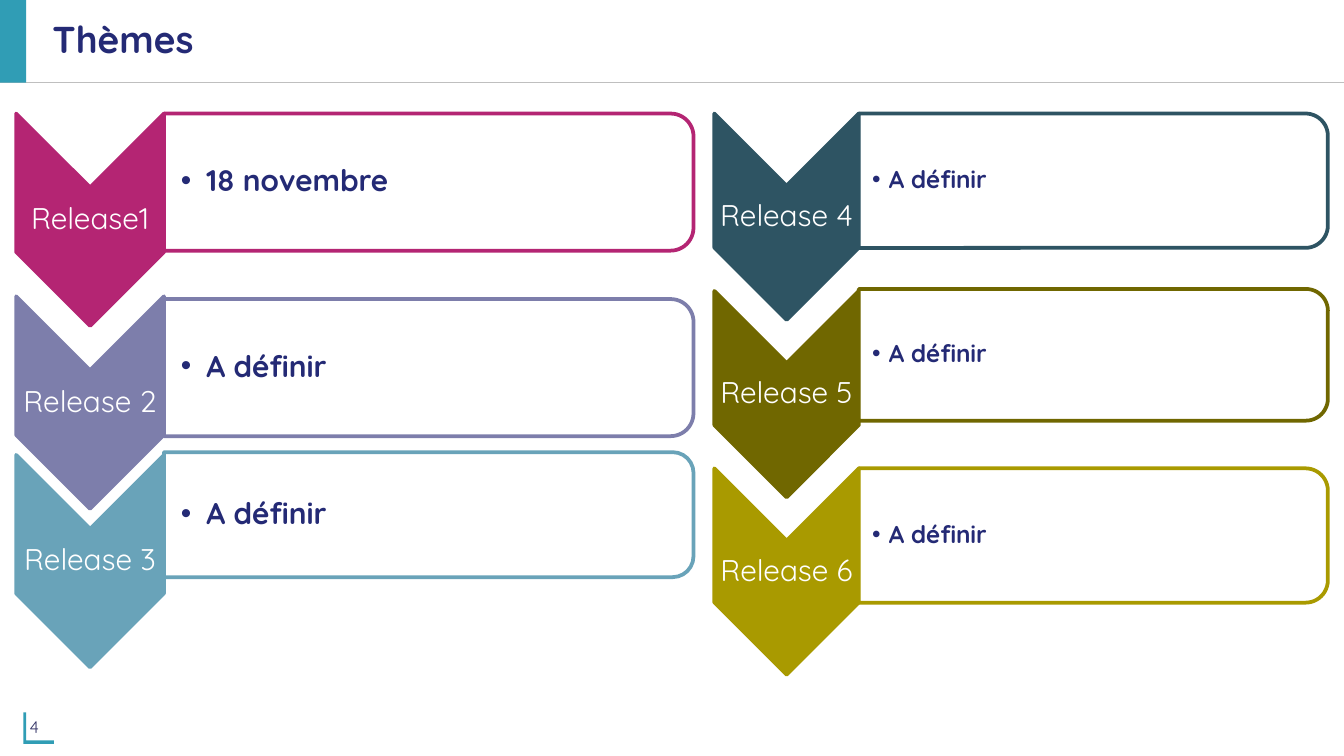
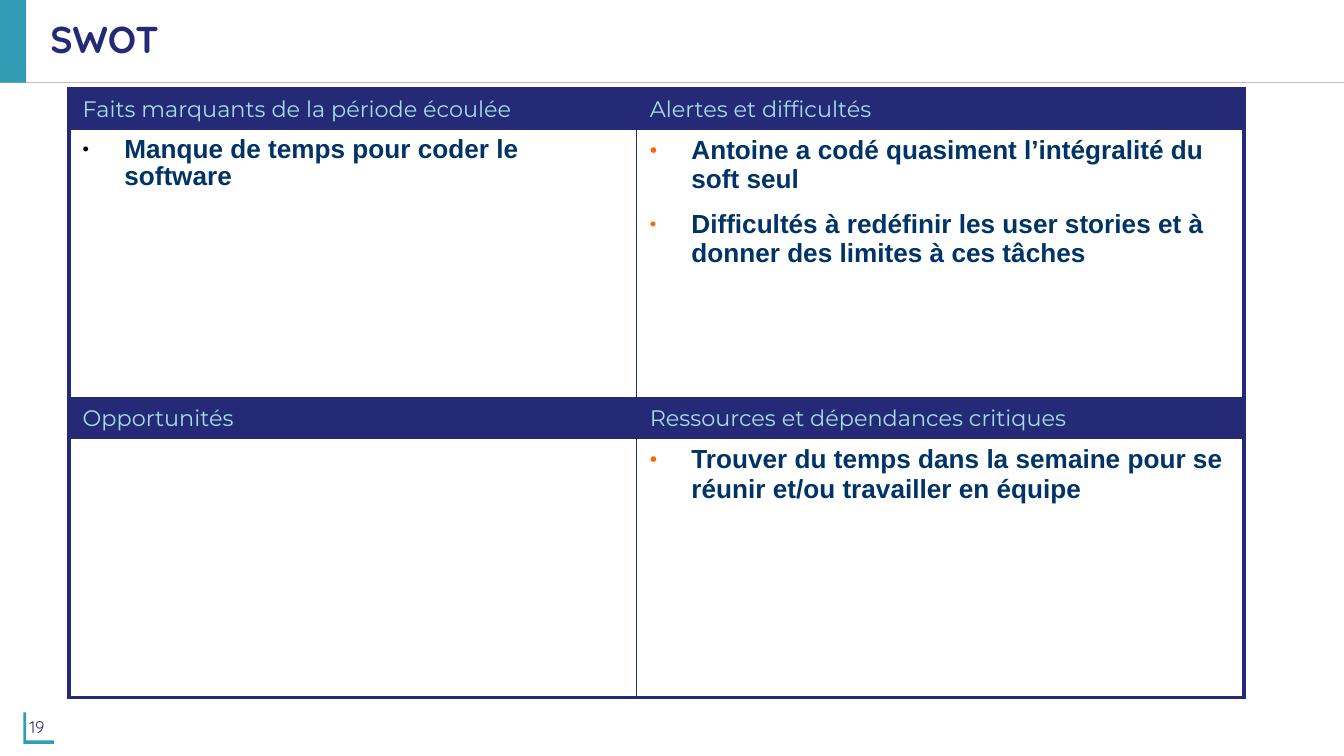
"""Build the release themes slide and the SWOT slide."""
import dataclasses

import pptx
import pptx.dml.color
import pptx.enum.shapes
import pptx.enum.text
import pptx.oxml
import pptx.oxml.ns
import pptx.util
from lxml import etree

qn = pptx.oxml.ns.qn
Pt = pptx.util.Pt
RGB = pptx.dml.color.RGBColor.from_string
SHAPE = pptx.enum.shapes.MSO_SHAPE
MIDDLE = pptx.enum.text.MSO_ANCHOR.MIDDLE
LEFT = pptx.enum.text.PP_ALIGN.LEFT
CENTER = pptx.enum.text.PP_ALIGN.CENTER


@dataclasses.dataclass(frozen=True)
class Theme:
    navy: str = "242A75"
    teal: str = "309DB5"
    rule: str = "BFBFBF"
    white: str = "FFFFFF"
    number: str = "333366"
    header: str = "A6DCE7"
    note: str = "003366"
    orange: str = "FF6600"
    black: str = "000000"
    releases: tuple = (("B42573", "7D7EAB", "69A3B9"), ("2E5463", "706700", "A99A00"))
    display: str = "Quicksand"
    header_face: str = "Montserrat"
    note_face: str = "Arial"
    title_size: int = 20
    label_size: int = 16
    small_size: int = 13
    note_size: int = 14
    header_size: int = 12
    number_size: int = 9


theme = Theme()
presentation = pptx.Presentation()
presentation.slide_width = pptx.util.Inches(10)
presentation.slide_height = presentation.slide_width * 9 // 16
COLUMNS = 100
CELL = presentation.slide_width / COLUMNS
ROWS = presentation.slide_height / CELL


def grid(*units):
    """Turn lengths in grid units into whole EMU."""
    return [pptx.util.Emu(round(unit * CELL)) for unit in units]


def write(frame, lines, **frame_format):
    """Format a text frame and fill it with (text, style) lines."""
    for name, value in frame_format.items():
        setattr(frame, name, value)
    for index, (text, style) in enumerate(lines):
        paragraph = frame.add_paragraph() if index else frame.paragraphs[0]
        run = paragraph.add_run()
        run.text = text
        run.font.color.rgb = RGB(style["color"])
        for name, value in style["font"].items():
            setattr(run.font, name, value)
        for name, value in style.get("paragraph", {}).items():
            setattr(paragraph, name, value)
        if "bullet" in style:
            indent, color, percent = style["bullet"]
            properties = paragraph._p.get_or_add_pPr()
            properties.set("marL", str(grid(indent)[0]))
            properties.set("indent", str(-grid(indent)[0]))
            bullet_color = etree.SubElement(properties, qn("a:buClr"))
            etree.SubElement(bullet_color, qn("a:srgbClr"), val=color)
            etree.SubElement(properties, qn("a:buSzPct"), val=str(percent * 1000))
            etree.SubElement(properties, qn("a:buFont"), typeface="Arial")
            etree.SubElement(properties, qn("a:buChar"), char="•")


title_style = {
    "color": theme.navy,
    "font": {"name": theme.display, "size": Pt(theme.title_size), "bold": True},
    "paragraph": {"alignment": LEFT, "line_spacing": 0.9},
}
number_style = {
    "color": theme.number,
    "font": {"name": theme.display, "size": Pt(theme.number_size)},
}
label_style = {
    "color": theme.white,
    "font": {"name": theme.display, "size": Pt(theme.label_size)},
    "paragraph": {"alignment": CENTER, "line_spacing": 0.9},
}
header_style = {
    "color": theme.header,
    "font": {"name": theme.header_face, "size": Pt(theme.header_size), "bold": False},
}
note_style = {
    "color": theme.note,
    "font": {"name": theme.note_face, "size": Pt(theme.note_size), "bold": True},
    "bullet": (3.1, theme.orange, 80),
}
tight_note_style = {
    **note_style,
    "paragraph": {"line_spacing": 0.95},
    "bullet": (3.1, theme.black, 70),
}
next_note_style = {
    **note_style,
    "paragraph": {"space_before": Pt(8)},
    "bullet": (3.1, theme.orange, 70),
}

BAND = 6.15
MARK = ((1.95, 53), (1.75, 53), (1.75, 55.35), (4, 55.35), (4, 55.1), (1.95, 55.1))
slides = []
for title, title_left, number in (("Thèmes", 2.9, "4"), ("SWOT", 2.75, "19")):
    slide = presentation.slides.add_slide(presentation.slide_layouts[5])
    slides.append(slide)

    rule = slide.shapes.add_connector(
        pptx.enum.shapes.MSO_CONNECTOR.STRAIGHT, *grid(0, BAND, COLUMNS, BAND))
    rule.line.color.rgb = RGB(theme.rule)
    rule.line.width = Pt(0.75)
    etree.SubElement(rule.element.spPr, qn("a:effectLst"))

    band = slide.shapes.add_shape(SHAPE.RECTANGLE, *grid(0, -0.1, 1.95, BAND + 0.1))
    corners = [grid(*corner) for corner in MARK]
    builder = slide.shapes.build_freeform(*corners[0])
    builder.add_line_segments(corners[1:], close=True)
    for shape in (band, builder.convert_to_shape()):
        shape.shadow.inherit = False
        shape.fill.solid()
        shape.fill.fore_color.rgb = RGB(theme.teal)
        shape.line.fill.background()

    number_box = slide.shapes.add_textbox(*grid(1.5, ROWS - 3.7, 8.6, 3))
    side, edge = grid(0.7, 0.4)
    write(number_box.text_frame, [(number, number_style)], word_wrap=True,
          vertical_anchor=MIDDLE, margin_left=side, margin_right=side,
          margin_top=edge, margin_bottom=edge)

    heading = slide.shapes.title
    heading.left, heading.top, heading.width, heading.height = grid(title_left, 0, 94.9, 6.1)
    write(heading.text_frame, [(title, title_style)], word_wrap=True,
          vertical_anchor=MIDDLE, auto_size=pptx.enum.text.MSO_AUTO_SIZE.NONE)

themes_slide, swot_slide = slides

release_columns = (
    {"left": 1.2, "chevron": (11, 15.8), "panel_width": 39.4,
     "size": theme.label_size, "inset": 1.25, "indent": 1.9,
     "rows": (("Release1", "18 novembre", 8.45, 8.45, 10.2),
              ("Release 2", "A définir", 22.05, 22.25, 10.2),
              ("Release 3", "A définir", 33.85, 33.65, 9.3))},
    {"left": 53.15, "chevron": (10.75, 15.35), "panel_width": 34.9,
     "size": theme.small_size, "inset": 1, "indent": 1.25,
     "rows": (("Release 4", "A définir", 8.45, 8.45, 10),
              ("Release 5", "A définir", 21.65, 21.5, 9.8),
              ("Release 6", "A définir", 34.85, 34.85, 10))},
)
for column, colors in zip(release_columns, theme.releases):
    group = themes_slide.shapes.add_group_shape()
    chevron_width, chevron_height = column["chevron"]
    panel_left = column["left"] + chevron_width
    date_style = {
        "color": theme.navy,
        "font": {"name": theme.display, "size": Pt(column["size"]), "bold": True},
        "paragraph": {"alignment": LEFT, "line_spacing": 0.9},
        "bullet": (column["indent"], theme.navy, 100),
    }
    for (label, date, chevron_top, panel_top, panel_height), color in zip(column["rows"], colors):
        parts = (
            (SHAPE.CHEVRON, color, label, label_style, 0.1,
             (column["left"], chevron_top, chevron_width, chevron_height)),
            (SHAPE.ROUND_2_SAME_RECTANGLE, theme.white, date, date_style, column["inset"],
             (panel_left, panel_top, column["panel_width"], panel_height)),
        )
        for preset, fill, text, style, inset, (left, top, width, height) in parts:
            shift = (width - height) / 2
            shape = group.shapes.add_shape(preset, *grid(left + shift, top - shift, height, width))
            shape.rotation = 90
            shape.shadow.inherit = False
            shape.fill.solid()
            shape.fill.fore_color.rgb = RGB(fill)
            shape.line.color.rgb = RGB(color)
            shape.line.width = Pt(2)
            if fill == theme.white:
                fill_color = shape.element.find(".//" + qn("a:srgbClr"))
                etree.SubElement(fill_color, qn("a:alpha"), val="90000")
            text_box = group.shapes.add_textbox(*grid(left, top, width, height))
            side, edge = grid(inset, 0.1)
            write(text_box.text_frame, [(text, style)], word_wrap=True,
                  vertical_anchor=MIDDLE, margin_left=side, margin_right=edge,
                  margin_top=edge, margin_bottom=edge)

swot_rows = (
    ([("Faits marquants de la période écoulée", header_style)],
     [("Alertes et difficultés", header_style)]),
    ([("Manque de temps pour coder le software", tight_note_style)],
     [("Antoine a codé quasiment l’intégralité du soft seul", note_style),
      ("Difficultés à redéfinir les user stories et à donner des limites à ces tâches",
       next_note_style)]),
    ([("Opportunités", header_style)],
     [("Ressources et dépendances critiques", header_style)]),
    ([],
     [("Trouver du temps dans la semaine pour se réunir et/ou travailler en équipe",
       note_style)]),
)
column_widths = (42.2, 45.2)
row_heights = (2.9, 20, 2.9, 19.3)
table = swot_slide.shapes.add_table(
    len(row_heights), len(column_widths),
    *grid(5.15, 6.6, sum(column_widths), sum(row_heights))).table
table.first_row = table.horz_banding = False
for table_column, width in zip(table.columns, grid(*column_widths)):
    table_column.width = width
for table_row, height in zip(table.rows, grid(*row_heights)):
    table_row.height = height

for row_index, row in enumerate(swot_rows):
    for column_index, lines in enumerate(row):
        cell = table.cell(row_index, column_index)
        outer_edges = {
            "lnL": column_index == 0,
            "lnR": column_index == len(column_widths) - 1,
            "lnT": row_index == 0,
            "lnB": row_index == len(row_heights) - 1,
        }
        for edge_name, outer in outer_edges.items():
            border = etree.SubElement(cell._tc.get_or_add_tcPr(), qn("a:" + edge_name),
                                      w=str(Pt(2.25 if outer else 1)))
            border_fill = etree.SubElement(border, qn("a:solidFill"))
            etree.SubElement(border_fill, qn("a:srgbClr"), val=theme.navy)
        if row_index % 2 == 0:
            cell.vertical_anchor = MIDDLE
            cell.fill.solid()
            cell.fill.fore_color.rgb = RGB(theme.navy)
        else:
            cell.fill.background()
        write(cell.text_frame, lines)

presentation.save("out.pptx")
